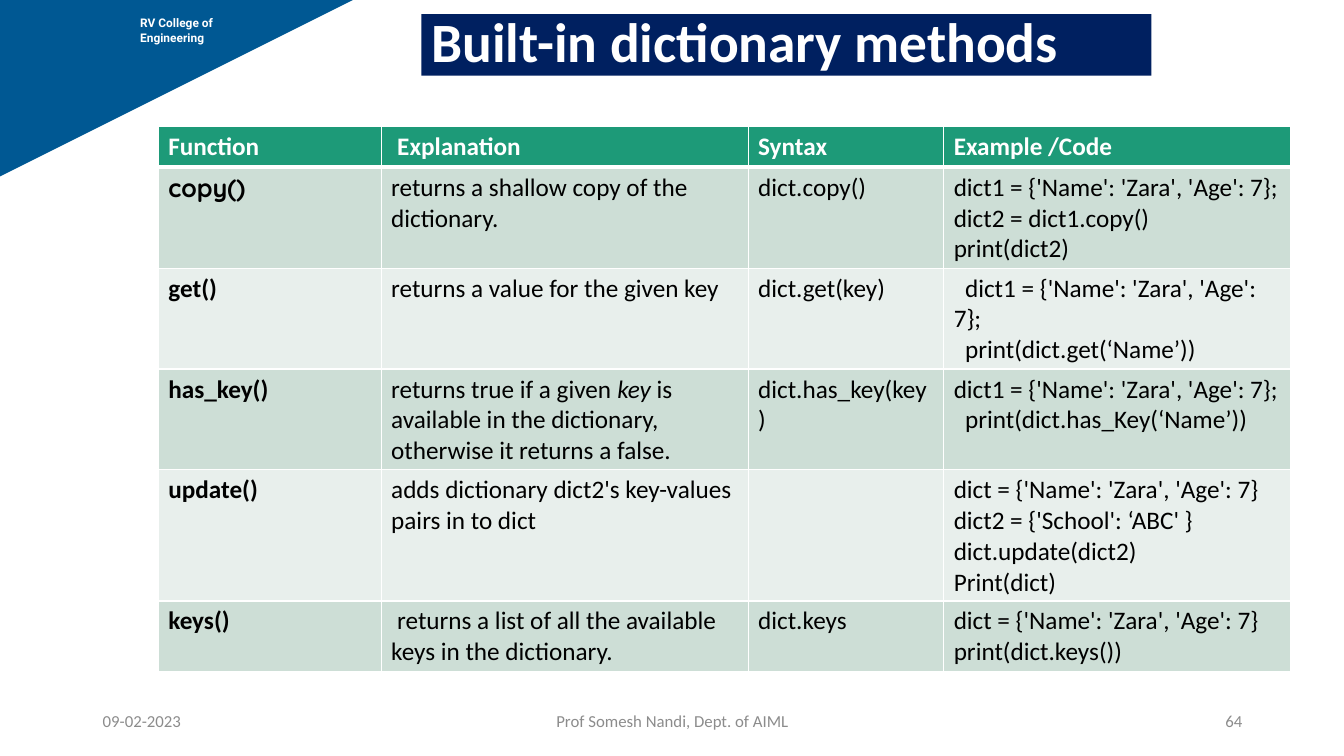
from lxml import etree
from pptx import Presentation
from pptx.dml.color import RGBColor
from pptx.enum import text as t
from pptx.oxml import ns
from pptx.util import Inches, Pt

WHITE = RGBColor(0xFF, 0xFF, 0xFF)
BLACK = RGBColor(0, 0, 0)
NAVY = RGBColor(0x00, 0x20, 0x60)
BLUE = RGBColor(0x00, 0x58, 0x93)
GREY = RGBColor(0x8C, 0x8C, 0x8C)
GREEN = RGBColor(0x1D, 0x9A, 0x78)
BANDS = (RGBColor(0xE8, 0xEF, 0xEC), RGBColor(0xCD, 0xDE, 0xD6))

COLUMN_WIDTHS = (2.21, 3.64, 1.94, 3.44)
ROW_HEIGHT = 0.41
HEADINGS = ("Function", "Explanation", "Syntax", "Example /Code")
METHODS = (
    ("copy()", "returns a shallow copy of the dictionary.", "dict.copy()",
     "dict1 = {'Name': 'Zara', 'Age': 7}; dict2 = dict1.copy()\nprint(dict2)"),
    ("get()", "returns a value for the given key", "dict.get(key)",
     "  dict1 = {'Name': 'Zara', 'Age': 7};\n  print(dict.get(‘Name’))"),
    ("has_key()",
     "returns true if a given *key* is available in the dictionary, otherwise it returns a false.",
     "dict.has_key(key)",
     "dict1 = {'Name': 'Zara', 'Age': 7};\n  print(dict.has_Key(‘Name’))"),
    ("update()", "adds dictionary dict2's key-values pairs in to dict", "",
     "dict = {'Name': 'Zara', 'Age': 7} dict2 = {'School': ‘ABC' }\ndict.update(dict2)\nPrint(dict)"),
    ("keys()", "returns a list of all the available keys in the dictionary.", "dict.keys",
     "dict = {'Name': 'Zara', 'Age': 7}\nprint(dict.keys())"),
)
INDENTED = ("Explanation", METHODS[-1][1])


def write(frame, content, size, color, bold=False, font="Calibri", align=None):
    """Fill a frame line by line, with starred words in italics."""
    for number, line in enumerate(content.split("\n")):
        paragraph = frame.add_paragraph() if number else frame.paragraphs[0]
        paragraph.alignment = align
        for part, words in enumerate(line.split("*")):
            if words:
                run = paragraph.add_run()
                run.text = words
                run.font.size = Pt(size)
                run.font.name = font
                run.font.bold = bold
                run.font.italic = part % 2 == 1
                run.font.color.rgb = color


def add_title(slide, heading):
    """Place the slide title on its navy bar."""
    title = slide.shapes.title
    title.left, title.top = Inches(4.18), Inches(0.14)
    title.width, title.height = Inches(7.24), Inches(0.61)
    title.fill.solid()
    title.fill.fore_color.rgb = NAVY
    frame = title.text_frame
    frame.auto_size = t.MSO_AUTO_SIZE.NONE
    frame.vertical_anchor = t.MSO_ANCHOR.MIDDLE
    write(frame, heading, 39.6, WHITE, True, align=t.PP_ALIGN.LEFT)
    frame.paragraphs[0].line_spacing = 0.9


def add_corner(slide):
    """Draw the blue corner triangle with the college name."""
    outline = slide.shapes.build_freeform(Inches(3.5), 0)
    outline.add_line_segments([(0, 0), (0, Inches(1.75))], close=True)
    corner = outline.convert_to_shape()
    corner.shadow.inherit = False
    corner.fill.solid()
    corner.fill.fore_color.rgb = BLUE
    corner.line.fill.background()

    college = slide.shapes.add_textbox(Inches(1.39), Inches(0.13), Inches(1.92), Inches(0.31))
    frame = college.text_frame
    frame.word_wrap = True
    frame.margin_left = frame.margin_right = frame.margin_bottom = 0
    frame.margin_top = Inches(0.02)
    write(frame, "RV College of\nEngineering", 8.5, WHITE, True, "Roboto")
    frame.paragraphs[1].space_before = Pt(0.6)


def add_footer(slide, content, left, width, align):
    """Add one grey footer item."""
    footer = slide.shapes.add_textbox(Inches(left), Inches(6.95), Inches(width), Inches(0.4))
    footer.text_frame.word_wrap = True
    footer.text_frame.vertical_anchor = t.MSO_ANCHOR.MIDDLE
    write(footer.text_frame, content, 12, GREY, align=align)


def set_borders(cell, top, bottom):
    """Give a cell white borders."""
    properties = cell._tc.get_or_add_tcPr()
    for side, points in (("L", 1), ("R", 1), ("T", top), ("B", bottom)):
        border = etree.SubElement(properties, ns.qn(f"a:ln{side}"), w=str(Pt(points)))
        fill = etree.SubElement(border, ns.qn("a:solidFill"))
        etree.SubElement(fill, ns.qn("a:srgbClr"), val=str(WHITE))


def add_methods_table(slide):
    """Build the table of dictionary methods."""
    rows = (HEADINGS,) + METHODS
    table = slide.shapes.add_table(
        len(rows), len(HEADINGS), Inches(1.57), Inches(1.25),
        Inches(sum(COLUMN_WIDTHS)), Inches(ROW_HEIGHT * len(rows))).table
    for column, width in zip(table.columns, COLUMN_WIDTHS):
        column.width = Inches(width)
    for r, entries in enumerate(rows):
        table.rows[r].height = Inches(ROW_HEIGHT)
        for c, content in enumerate(entries):
            cell = table.cell(r, c)
            set_borders(cell, 3 if r == 1 else 1, 3 if r == 0 else 1)
            cell.fill.solid()
            cell.fill.fore_color.rgb = BANDS[r % 2] if r else GREEN
            font = "Quicksand" if content == "copy()" else "Calibri"
            write(cell.text_frame, content, 18, BLACK if r else WHITE, r == 0 or c == 0, font)
            if content in INDENTED:
                first = cell.text_frame.paragraphs[0]._p.get_or_add_pPr()
                first.set("indent", str(Inches(0.06)))


def main():
    """Create the slide and save it."""
    deck = Presentation()
    deck.slide_width, deck.slide_height = Inches(13.33), Inches(7.5)
    slide = deck.slides.add_slide(deck.slide_layouts[5])
    add_title(slide, "Built-in dictionary methods")
    add_footer(slide, "Prof Somesh Nandi, Dept. of AIML", 4.42, 4.5, t.PP_ALIGN.CENTER)
    add_footer(slide, "64", 9.42, 3, t.PP_ALIGN.RIGHT)
    add_footer(slide, "09-02-2023", 0.92, 3, t.PP_ALIGN.LEFT)
    add_corner(slide)
    add_methods_table(slide)
    deck.save("out.pptx")


if __name__ == "__main__":
    main()
